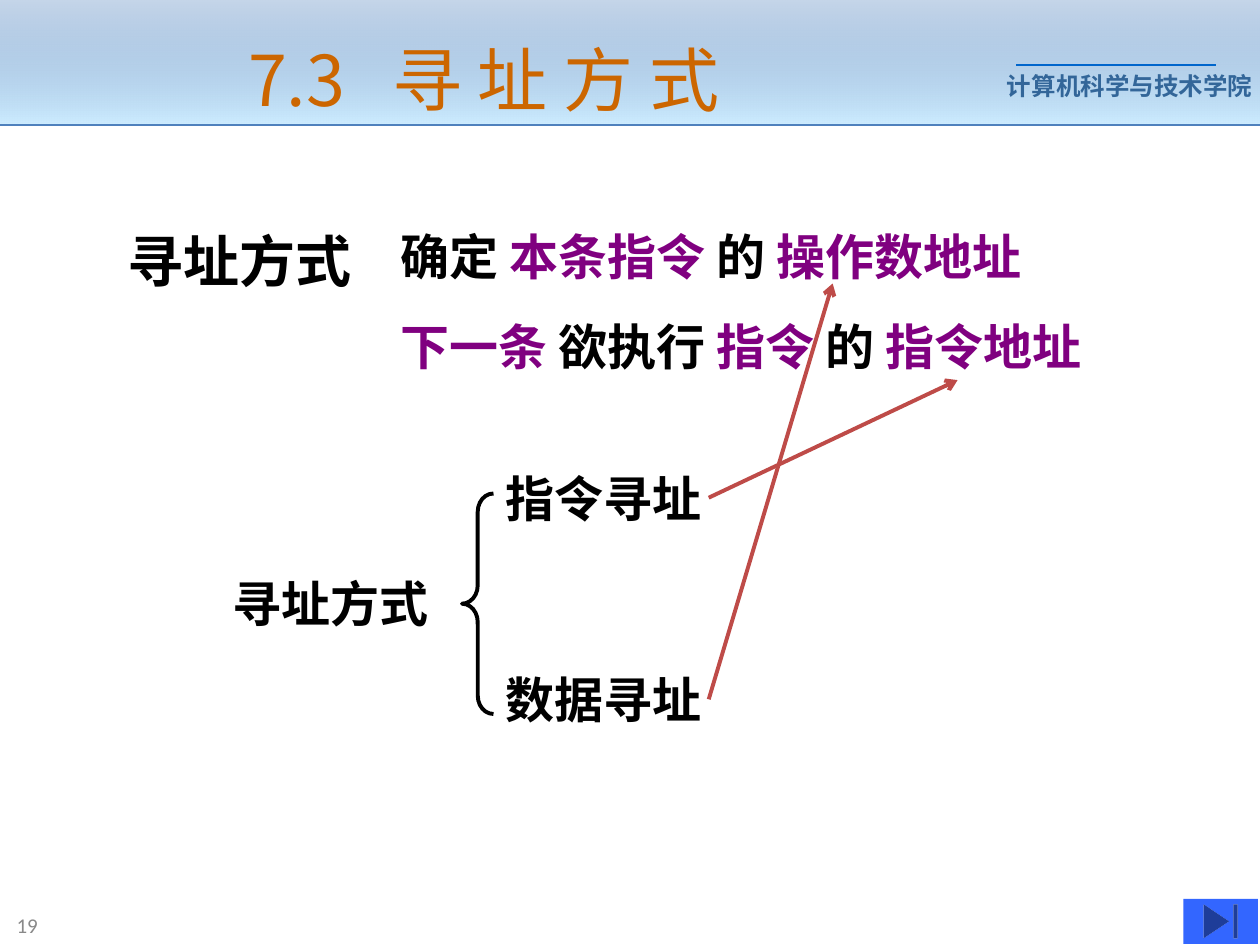
import dataclasses

import lxml.etree
import pptx
import pptx.dml.color
import pptx.enum.dml
import pptx.enum.shapes
import pptx.enum.text
import pptx.oxml.ns
import pptx.util

COLORS = {
    "black": "000000", "purple": "800080", "title": "CC6600",
    "school": "336699", "thin_rule": "0066CC", "rule": "4F81BD",
    "sky": "CCECFF", "arrow": "BE4B48", "button": "3366FF", "number": "898989",
}
CELL = pptx.util.Inches(1) / 12  # the page is 120 columns by 90 rows
SERIF, CHINESE = "Times New Roman", "Noto Sans CJK SC"
SHAPES = pptx.enum.shapes.MSO_SHAPE
ANCHORS = pptx.enum.text.MSO_ANCHOR


@dataclasses.dataclass
class Box:
    """A rectangle measured in grid columns and rows."""
    left: float
    top: float
    width: float
    height: float

    def inner(self, left, top, width, height):
        return Box(self.left + left, self.top + top, width, height)

    def emu(self):
        return [round(side * CELL) for side in
                (self.left, self.top, self.width, self.height)]


def rgb(name):
    return pptx.dml.color.RGBColor.from_string(COLORS[name])


def add_xml(parent, tag, **attributes):
    return lxml.etree.SubElement(parent, pptx.oxml.ns.qn(tag), attributes)


def add_span(para, words, color, size, font=SERIF, bold=True):
    span = para.add_run()
    span.text = words
    span.font.name, span.font.size, span.font.bold = font, pptx.util.Pt(size), bold
    span.font.color.rgb = rgb(color)
    add_xml(span._r.get_or_add_rPr(), "a:ea", typeface=CHINESE)
    return span


def add_text(page, box, lines, size, font=SERIF, bold=True, anchor=ANCHORS.TOP):
    """Each line is a list of (words, colour) pairs."""
    frame = page.shapes.add_textbox(*box.emu()).text_frame
    frame.word_wrap = True
    frame.vertical_anchor = anchor
    for index, line in enumerate(lines):
        para = frame.add_paragraph() if index else frame.paragraphs[0]
        if index:
            para.space_before = pptx.util.Pt(17.5)
        for words, color in line:
            add_span(para, words, color, size, font, bold)
    return frame


def add_line(page, box, color, width, arrow=False):
    """Draw from the box's top left by its signed width and height."""
    left, top, across, down = box.emu()
    line = page.shapes.add_connector(
        pptx.enum.shapes.MSO_CONNECTOR.STRAIGHT, left, top, left + across, top + down)
    line.line.color.rgb = rgb(color)
    line.line.width = pptx.util.Pt(width)
    if arrow:
        add_xml(line.line._get_or_add_ln(), "a:tailEnd", type="arrow")
    add_xml(line._element.spPr, "a:effectLst")


def add_header(page, box):
    band = page.shapes.add_shape(SHAPES.RECTANGLE, *box.emu())
    band.shadow.inherit = False
    band.line.fill.background()
    band.fill.gradient()
    band.fill.gradient_angle = 270
    for stop, color, place in zip(band.fill.gradient_stops, ("rule", "sky"), (0, 1)):
        stop.color.rgb = rgb(color)
        stop.position = place
    first_color = band._element.spPr.find(".//" + pptx.oxml.ns.qn("a:srgbClr"))
    add_xml(first_color, "a:alpha", val="32000")

    school = add_text(page, box.inner(95.9, 6.2, 23.7, 4.1),
                      [[("计算机科学与技术学院", "school")]], 14, "Arial")
    school.margin_left = school.margin_right = 0
    add_line(page, box.inner(96.8, 6.2, 19, 0), "thin_rule", 0.75)
    add_line(page, box.inner(0, box.height, box.width, 0), "rule", 1.5)
    add_title(page, box.inner(9, 2, 75.6, 10.9))


def add_title(page, box):
    title = page.shapes.title
    title.left, title.top, title.width, title.height = box.emu()
    page.shapes._spTree.append(title._element)  # bring in front of the band
    frame = title.text_frame
    frame.auto_size = pptx.enum.text.MSO_AUTO_SIZE.NONE
    frame.vertical_anchor = ANCHORS.MIDDLE
    para = frame.paragraphs[0]
    para.alignment = pptx.enum.text.PP_ALIGN.CENTER
    spans = [add_span(para, words, "title", 40, CHINESE, False)
             for words in ("7.3", " ", "寻 址 方 式 ")]
    spans[1]._r.get_or_add_rPr().set("spc", "1800")  # widen the gap after the number


def add_definition(page, box):
    add_text(page, box.inner(0, 0, 44, 7.7), [[("寻址方式", "black")]], 32)
    add_text(page, box.inner(26, 0, 72, 15.4), [
        [("确定 ", "black"), ("本条指令 ", "purple"), ("的 ", "black"),
         ("操作数地址", "purple")],
        [("下一条 ", "purple"), ("欲执行 ", "black"), ("指令 ", "purple"),
         ("的 ", "black"), ("指令地址", "purple")],
    ], 28)


def add_classification(page, box):
    add_text(page, box.inner(0, 10, 26, 6.8), [[("寻址方式", "black")]], 28)
    for row, kind in ((0, "指令寻址"), (19.2, "数据寻址")):
        add_text(page, box.inner(26, row, 41, 6.8), [[(kind, "black")]], 28)
    brace = page.shapes.add_shape(SHAPES.LEFT_BRACE, *box.inner(23, 3, 3, 21).emu())
    brace.shadow.inherit = False
    brace.adjustments[0] = 0.58
    brace.fill.background()
    brace.line.color.rgb = rgb("black")
    brace.line.width = pptx.util.Pt(2.25)
    for arrow in ((46.5, 3.4, 23.7, -11.2), (46.5, 22.6, 11.8, -39.6)):
        add_line(page, box.inner(*arrow), "arrow", 2.25, arrow=True)


def add_footer(page, box):
    add_text(page, box.inner(0.4, 0.7, 26.5, 3.8), [[("19", "number")]], 12,
             "Calibri", False, ANCHORS.MIDDLE)
    button = page.shapes.add_shape(SHAPES.ACTION_BUTTON_END,
                                   *box.inner(112.7, 0.1, 7.1, 4.3).emu())
    button.shadow.inherit = False
    button.fill.solid()
    button.fill.fore_color.rgb = rgb("button")
    button.line.fill.background()


def main():
    deck = pptx.Presentation()
    deck.slide_width, deck.slide_height = round(120 * CELL), round(90 * CELL)
    page = deck.slides.add_slide(deck.slide_layouts.get_by_name("Title Only"))
    add_header(page, Box(0, 0, 120, 11.9))
    add_definition(page, Box(11, 21, 98, 15.4))
    add_classification(page, Box(21, 44, 67, 26))
    add_footer(page, Box(0, 85.5, 120, 4.5))
    deck.save("out.pptx")


if __name__ == "__main__":
    main()
